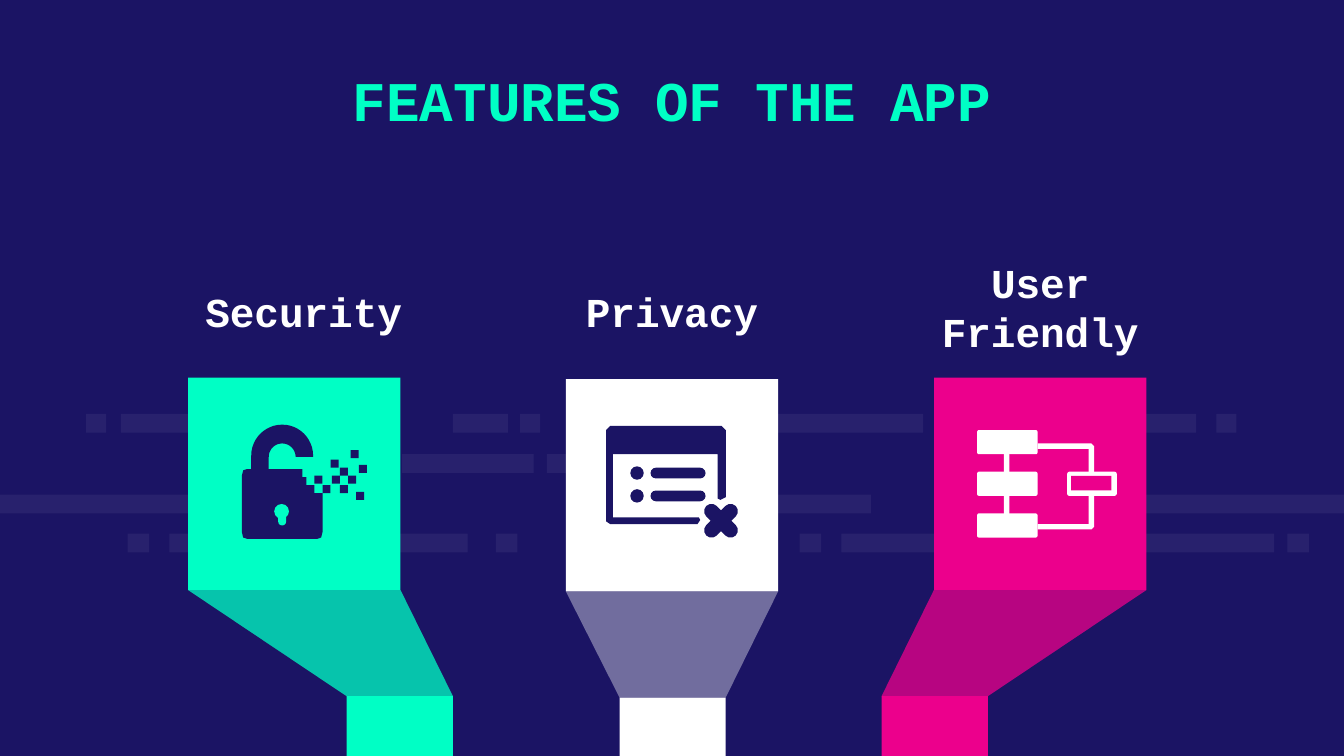
import math
import pptx
import pptx.util
import pptx.dml.color
import pptx.enum.shapes
import pptx.enum.text
import pptx.oxml
import pptx.oxml.ns

Inches = pptx.util.Inches
Kind = pptx.enum.shapes.MSO_SHAPE
Anchor = pptx.enum.text.MSO_ANCHOR
NAVY, MINT, PINK, WHITE = "1B1464", "00FFC5", "EC008C", "FFFFFF"

deck = pptx.Presentation()
deck.slide_width, deck.slide_height = Inches(10), Inches(45 / 8)
page = deck.slides.add_slide(deck.slide_layouts[5])


def paint(target, color, opacity=100):
    target.fill.solid()
    target.fill.fore_color.rgb = pptx.dml.color.RGBColor.from_string(color)
    if opacity < 100:
        clear = pptx.oxml.parse_xml(
            f'<a:alpha {pptx.oxml.ns.nsdecls("a")} val="{opacity * 1000}"/>'
        )
        target.fill._xPr.find(".//" + pptx.oxml.ns.qn("a:srgbClr")).append(clear)
    if hasattr(target, "line"):
        target.line.fill.background()
        target.shadow.inherit = False


def outline(points, color, opacity=100):
    corners = [(Inches(x), Inches(y)) for x, y in points]
    builder = page.shapes.build_freeform(*corners[0])
    builder.add_line_segments(corners[1:], close=True)
    paint(builder.convert_to_shape(), color, opacity)


paint(page.background, NAVY)

dashes = {
    3.08: [(0.64, 0.15), (0.9, 1.46), (3.37, 0.41), (3.87, 0.15),
           (5.61, 1.26), (7.64, 1.26), (9.05, 0.15)],
    3.38: [(2.99, 0.98), (4.07, 0.4)],
    3.68: [(0, 1.48), (5, 1.48), (8.52, 1.48)],
    3.97: [(0.95, 0.16), (1.26, 2.22), (3.69, 0.16), (5.95, 0.16),
           (6.26, 3.22), (9.58, 0.16)],
}
for top, row in dashes.items():
    for left, width in row:
        dash = page.shapes.add_shape(
            Kind.RECTANGLE, Inches(left), Inches(top), Inches(width), Inches(0.14)
        )
        paint(dash, WHITE, 6)

side, drop, foot_width = 1.58, 0.79, 0.79
for color, left, top, foot_left in [
    (MINT, 1.4, 2.81, 2.58), (WHITE, 4.21, 2.82, 4.61), (PINK, 6.95, 2.81, 6.56)
]:
    bottom = top + side
    funnel = [(foot_left, bottom + drop), (left, bottom), (left + side, bottom),
              (foot_left + foot_width, bottom + drop)]
    if color == WHITE:
        outline(funnel, WHITE, 38)
    else:
        outline(funnel, color)
        outline(funnel, NAVY, 25)
    for x, y, width, height in [
        (left, top, side, side), (foot_left, bottom + drop, foot_width, 0.45)
    ]:
        block = page.shapes.add_shape(
            Kind.RECTANGLE, Inches(x), Inches(y), Inches(width), Inches(height)
        )
        paint(block, color)

angles = [math.pi * step / 24 for step in range(25)]
outer_arc = [(2.1 - 0.23 * math.cos(a), 3.39 - 0.23 * math.sin(a)) for a in angles]
inner_arc = [(2.1 + 0.1 * math.cos(a), 3.4 - 0.1 * math.sin(a)) for a in angles]
outline(
    [(1.87, 3.49), *outer_arc, (2.33, 3.4), *inner_arc, (2, 3.49), (2.25, 3.49),
     (2.25, 3.55), (2.28, 3.55), (2.28, 3.61), (2.34, 3.61), (2.34, 3.67),
     (2.4, 3.67), (2.4, 3.96), (2.39, 4), (2.36, 4.01), (1.84, 4.01), (1.81, 4),
     (1.8, 3.96), (1.8, 3.54), (1.81, 3.5), (1.84, 3.49)],
    NAVY,
)
outline(
    [(4.54, 3.17), (5.37, 3.17), (5.4, 3.2), (5.4, 3.7), (5.36, 3.72), (5.34, 3.71),
     (5.34, 3.38), (4.56, 3.38), (4.56, 3.85), (5.2, 3.85), (5.21, 3.87),
     (5.19, 3.9), (4.54, 3.9), (4.51, 3.88), (4.51, 3.2)],
    NAVY,
)
outline(
    [(7.72, 3.3), (8.12, 3.3), (8.14, 3.32), (8.14, 3.92), (8.12, 3.94), (7.72, 3.94),
     (7.72, 3.9), (8.1, 3.9), (8.1, 3.34), (7.72, 3.34)],
    WHITE,
)

pixels = [(2.4, 3.61), (2.47, 3.54), (2.53, 3.48), (2.46, 3.42), (2.34, 3.54),
          (2.53, 3.61), (2.65, 3.66), (2.59, 3.54), (2.67, 3.46), (2.61, 3.35)]
parts = [(Kind.RECTANGLE, x, y, 0.06, 0.06, NAVY, 0, 0) for x, y in pixels]
parts += [
    (Kind.OVAL, 2.04, 3.75, 0.11, 0.11, MINT, 0, 0),
    (Kind.ROUNDED_RECTANGLE, 2.07, 3.8, 0.06, 0.11, MINT, 0.5, 0),
]
for y in (3.47, 3.64):
    parts += [
        (Kind.OVAL, 4.69, y, 0.1, 0.1, NAVY, 0, 0),
        (Kind.ROUNDED_RECTANGLE, 4.84, y + 0.01, 0.41, 0.08, NAVY, 0.5, 0),
    ]
for turn in (45, -45):
    parts.append((Kind.ROUNDED_RECTANGLE, 5.21, 3.82, 0.31, 0.11, NAVY, 0.5, turn))
parts.append((Kind.RECTANGLE, 7.47, 3.3, 0.04, 0.6, WHITE, 0, 0))
for y in (3.2, 3.51, 3.82):
    parts.append((Kind.ROUNDED_RECTANGLE, 7.27, y, 0.45, 0.18, WHITE, 0.08, 0))
parts += [
    (Kind.ROUNDED_RECTANGLE, 7.94, 3.51, 0.37, 0.18, WHITE, 0.1, 0),
    (Kind.RECTANGLE, 7.97, 3.54, 0.3, 0.11, PINK, 0, 0),
]
for kind, x, y, width, height, color, radius, turn in parts:
    part = page.shapes.add_shape(
        kind, Inches(x), Inches(y), Inches(width), Inches(height)
    )
    paint(part, color)
    part.rotation = turn
    if kind == Kind.ROUNDED_RECTANGLE:
        part.adjustments[0] = radius

for words, left, top, width, height, size, color, anchor, inset in [
    ("FEATURES OF THE APP", 1.4, 0.37, 7.2, 0.73, 30, MINT, Anchor.MIDDLE, 0.1),
    ("Security", 1.13, 2.03, 2.26, 0.47, 22, WHITE, Anchor.BOTTOM, 0),
    ("Privacy", 3.87, 2.03, 2.26, 0.47, 22, WHITE, Anchor.BOTTOM, 0),
    ("User Friendly", 6.61, 2.18, 2.26, 0.47, 22, WHITE, Anchor.BOTTOM, 0),
]:
    place = [Inches(value) for value in (left, top, width, height)]
    if size == 30:
        box = page.shapes.title
        box.left, box.top, box.width, box.height = place
    else:
        box = page.shapes.add_textbox(*place)
    frame = {
        "word_wrap": True,
        "auto_size": pptx.enum.text.MSO_AUTO_SIZE.NONE,
        "vertical_anchor": anchor,
        "margin_left": Inches(0.1),
        "margin_right": Inches(0.1),
        "margin_top": Inches(0.1),
        "margin_bottom": Inches(inset),
    }
    for name, value in frame.items():
        setattr(box.text_frame, name, value)
    para = box.text_frame.paragraphs[0]
    para.alignment = pptx.enum.text.PP_ALIGN.CENTER
    span = para.add_run()
    span.text = words
    letters = {"name": "Courier New", "size": pptx.util.Pt(size), "bold": True}
    for name, value in letters.items():
        setattr(span.font, name, value)
    span.font.color.rgb = pptx.dml.color.RGBColor.from_string(color)

deck.save("out.pptx")
